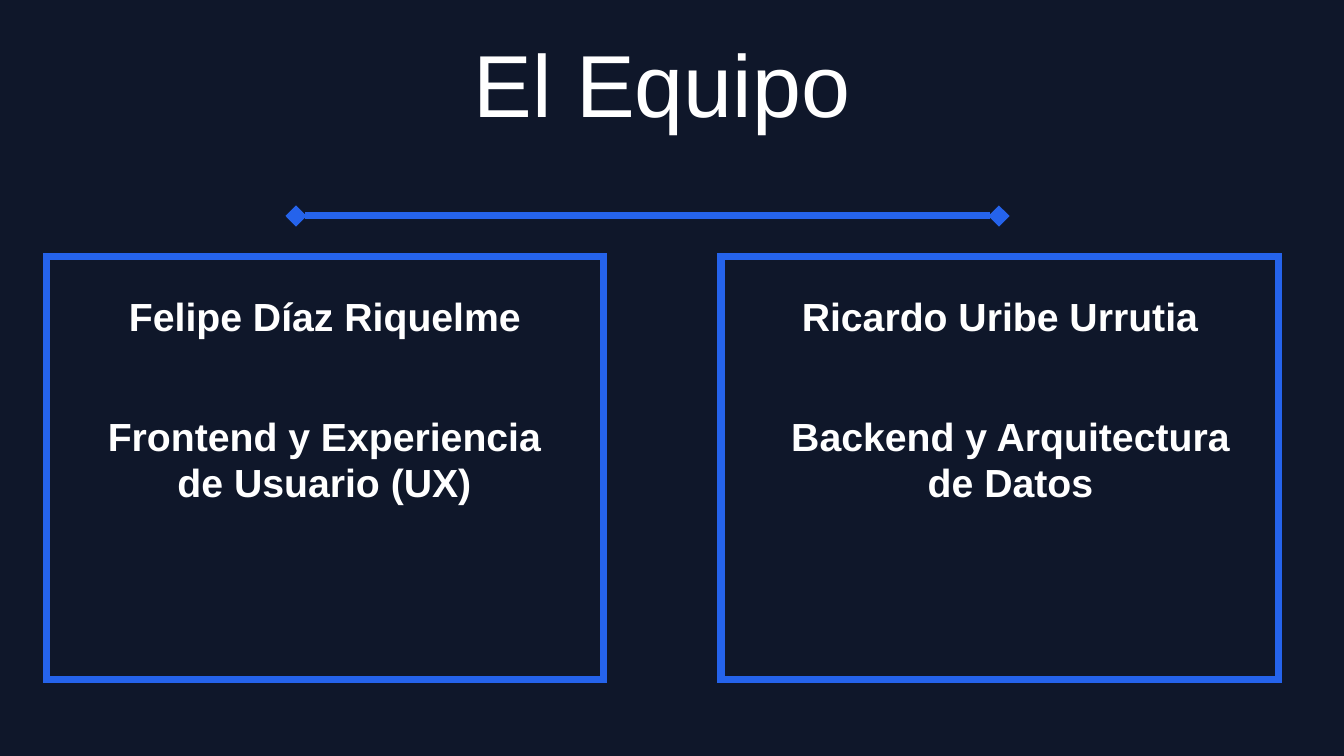
"""Build the team slide: a title, a linking line and two framed members."""
from lxml import etree
from pptx import Presentation
from pptx import util as u
from pptx.dml.color import RGBColor
from pptx.enum import shapes, text
from pptx.oxml.ns import qn

NAVY = RGBColor(0x0F, 0x17, 0x2A)
BLUE = RGBColor(0x25, 0x63, 0xEB)
WHITE = RGBColor(0xFF, 0xFF, 0xFF)
WIDTH, HEIGHT = 1344, 756
SCALE = u.Inches(20) / WIDTH


def px(length):
    """Turn whole px into EMU."""
    return u.Emu(round(length * SCALE))


class Deck:
    """Hold the style and the current slide."""

    font = "Arial"
    stroke = u.Pt(7.5)

    def __init__(self):
        """Open a presentation with one dark slide."""
        self.file = Presentation()
        self.file.slide_width, self.file.slide_height = px(WIDTH), px(HEIGHT)
        self.slide = self.file.slides.add_slide(self.file.slide_layouts[5])
        self.slide.background.fill.solid()
        self.slide.background.fill.fore_color.rgb = NAVY

    def set_words(self, box, words, size, leading, bold):
        """Fill a box with one centred paragraph."""
        frame = box.text_frame
        frame.text = words
        frame.word_wrap = True
        frame.auto_size = text.MSO_AUTO_SIZE.NONE
        frame.vertical_anchor = text.MSO_ANCHOR.TOP
        frame.margin_left = frame.margin_right = 0
        frame.margin_top = frame.margin_bottom = 0
        line = frame.paragraphs[0]
        line.alignment = text.PP_ALIGN.CENTER
        line.line_spacing = u.Pt(leading)
        font = line.runs[0].font
        font.name, font.size, font.bold = self.font, u.Pt(size), bold
        font.color.rgb = WHITE

    def title(self, words, left, top, width, height):
        """Place and format the title placeholder."""
        heading = self.slide.shapes.title
        heading.left, heading.top = px(left), px(top)
        heading.width, heading.height = px(width), px(height)
        self.set_words(heading, words, 94.3, 110.3, False)

    def label(self, words, left, top, width, height):
        """Add a bold text box."""
        box = self.slide.shapes.add_textbox(px(left), px(top), px(width), px(height))
        self.set_words(box, words, 42, 49.1, True)

    def outline(self, shape):
        """Give a shape the common stroke and return its line element."""
        shape.line.color.rgb = BLUE
        shape.line.width = self.stroke
        return shape._element.spPr.find(qn("a:ln"))

    def frame(self, left, top, width, height):
        """Add an unfilled rectangle with sharp corners."""
        card = self.slide.shapes.add_shape(
            shapes.MSO_SHAPE.RECTANGLE, px(left), px(top), px(width), px(height))
        card.shadow.inherit = False
        card.fill.background()
        etree.SubElement(self.outline(card), qn("a:miter"), lim="800000")

    def link(self, start, end, y):
        """Add a horizontal line with a diamond at both ends."""
        bar = self.slide.shapes.add_connector(
            shapes.MSO_CONNECTOR.STRAIGHT, px(start), px(y), px(end), px(y))
        stroke = self.outline(bar)
        for tip in ("a:headEnd", "a:tailEnd"):
            etree.SubElement(stroke, qn(tip), type="diamond")
        etree.SubElement(bar._element.spPr, qn("a:effectLst"))


def main():
    """Compose and save the slide."""
    deck = Deck()
    deck.title("El Equipo", 56, 32, 1212, 237)
    members = (
        (46, "Felipe Díaz Riquelme", 56, "Frontend y Experiencia de Usuario (UX)", 101),
        (721, "Ricardo Uribe Urrutia", 731, "Backend y Arquitectura de Datos", 787),
    )
    for card_left, name, name_left, role, role_left in members:
        deck.frame(card_left, 257, 558, 423)
        deck.label(name, name_left, 293, 538, 46)
        deck.label(role, role_left, 414, 447, 138)
    deck.link(296, 999, 216)
    deck.file.save("out.pptx")


if __name__ == "__main__":
    main()
